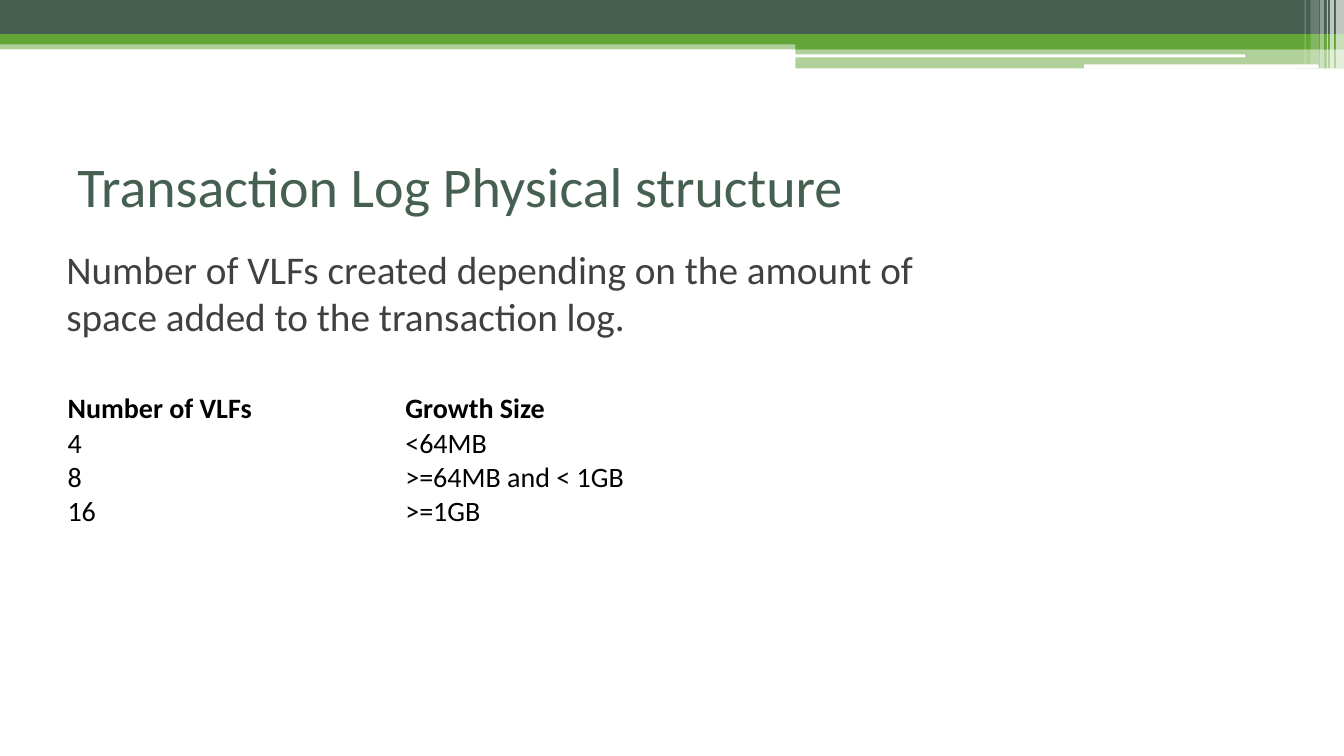
from pptx import Presentation
from pptx import util as u
from pptx.dml.color import RGBColor
from pptx.enum import shapes, text
from pptx.oxml.ns import qn
from lxml import etree

GREEN, DARK, WHITE = "63A537", "455F51", "FFFFFF"
RECT = shapes.MSO_SHAPE.RECTANGLE
ROUND = shapes.MSO_SHAPE.ROUNDED_RECTANGLE

BANDS = [
    (0, 0.4, 13.33, 0.09, GREEN, 50, RECT),
    (0, 0, 13.33, 0.34, DARK, 100, RECT),
    (0, 0.34, 13.33, 0.1, GREEN, 100, RECT),
    (7.89, 0.39, 5.44, 0.1, GREEN, 100, RECT),
    (7.89, 0.48, 5.44, 0.2, GREEN, 50, RECT),
    (7.88, 0.54, 4.47, 0.03, WHITE, 100, ROUND),
    (10.75, 0.64, 2.33, 0.04, WHITE, 100, ROUND),
]
STRIPES = [
    (13.25, 0.08, 0.68, 65),
    (13.19, 0.04, 0.68, 65),
    (13.16, 0.01, 0.68, 60),
    (13.09, 0.04, 0.68, 40),
    (13, 0.08, 0.64, 20),
    (12.94, 0.01, 0.64, 30),
]
ROWS = [
    ("Number of VLFs", "Growth Size"),
    ("4", "<64MB"),
    ("8", ">=64MB and < 1GB"),
    ("16", ">=1GB"),
]


def color(code):
    return RGBColor.from_string(code)


def style(para, size, code, bold=False):
    font = para.font
    font.name, font.size, font.bold = "Calibri", u.Pt(size), bold
    font.color.rgb = color(code)


def bar(slide, left, top, width, height, code, alpha, kind):
    shape = slide.shapes.add_shape(kind, *map(u.Inches, (left, top, width, height)))
    shape.shadow.inherit = False
    shape.line.fill.background()
    shape.fill.solid()
    shape.fill.fore_color.rgb = color(code)
    if alpha < 100:
        tint = shape.fill._xPr.find(".//" + qn("a:srgbClr"))
        etree.SubElement(tint, qn("a:alpha"), val=str(alpha * 1000))


def banner(slide, left, top):
    for x, y, width, height, code, alpha, kind in BANDS:
        bar(slide, left + x, top + y, width, height, code, alpha, kind)
    for x, width, height, alpha in STRIPES:
        bar(slide, left + x, top, width, height, WHITE, alpha, RECT)


def label(slide, box, words, size, code, anchor):
    frame = slide.shapes.add_textbox(*map(u.Inches, box)).text_frame
    frame.word_wrap = True
    frame.vertical_anchor = anchor
    para = frame.paragraphs[0]
    para.text = words
    style(para, size, code)


def grid(slide, left, top, widths, height):
    box = (left, top, sum(widths), height * len(ROWS))
    table = slide.shapes.add_table(len(ROWS), len(widths), *map(u.Inches, box)).table
    table.first_row = table.horz_banding = False
    for col, width in zip(table.columns, widths):
        col.width = u.Inches(width)
    for r, words in enumerate(ROWS):
        table.rows[r].height = u.Inches(height)
        for c, word in enumerate(words):
            cell = table.cell(r, c)
            cell.margin_left = cell.margin_right = 0
            cell.margin_top = cell.margin_bottom = 0
            cell.vertical_anchor = text.MSO_ANCHOR.MIDDLE
            cell.text = word
            style(cell.text_frame.paragraphs[0], 20, "000000", r == 0)
            props = cell._tc.get_or_add_tcPr()
            for side in ("a:lnL", "a:lnR", "a:lnT", "a:lnB"):
                line = etree.SubElement(props, qn(side))
                etree.SubElement(line, qn("a:noFill"))
            cell.fill.background()


def main():
    deck = Presentation()
    deck.slide_width, deck.slide_height = u.Inches(13.33), u.Inches(7.5)
    slide = deck.slides.add_slide(deck.slide_layouts[6])
    banner(slide, 0, 0)
    grid(slide, 0.67, 3.89, (3.35, 2.92), 0.34)
    label(slide, (0.67, 1.25, 12, 1.17), "Transaction Log Physical structure",
          40, DARK, text.MSO_ANCHOR.MIDDLE)
    label(slide, (0.56, 2.38, 9.53, 1.51),
          "Number of VLFs created depending on the amount of space added to the transaction log.",
          28, "404040", text.MSO_ANCHOR.TOP)
    deck.save("out.pptx")


if __name__ == "__main__":
    main()
